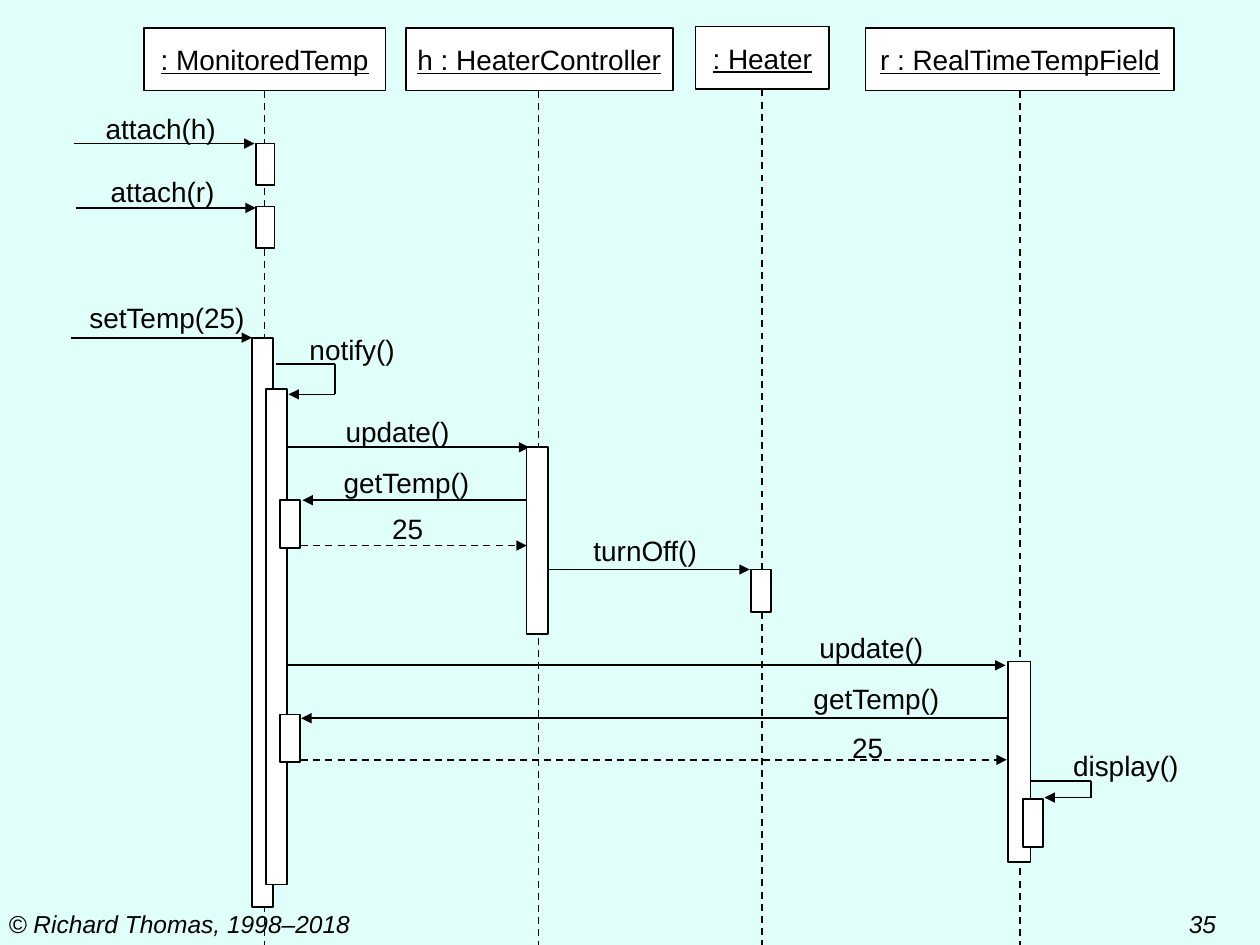
import pptx
import pptx.dml.color
import pptx.enum.dml
import pptx.enum.shapes
import pptx.enum.text
import pptx.oxml.ns
import pptx.util
import lxml.etree

WIDE = pptx.util.Inches(10)
HIGH = pptx.util.Inches(7.5)
COLS, ROWS = 100, 75
INK, PAPER, SKY = "000000", "FFFFFF", "E1FFFA"
ALIGN = pptx.enum.text.PP_ALIGN

HEADS = [
    (11.4, 2.2, 19.2, ": MonitoredTemp", 21),
    (32.2, 2.2, 21.2, "h : HeaterController", 42.75),
    (55.2, 2.1, 10.6, ": Heater", 60.45),
    (68.7, 2.2, 24.5, "r : RealTimeTempField", 80.95),
]
CALLS = [
    (5.9, 20.2, 11.4, "attach(h)", 12.75, 10.15),
    (6, 20.3, 16.5, "attach(r)", 12.9, 15.15),
    (5.6, 20, 26.8, "setTemp(25)", 13.25, 25.15),
    (22.8, 42, 35.5, "update()", 31.55, 34.25),
    (41.8, 24, 39.7, "getTemp()", 32.25, 38.25),
    (43.5, 59.5, 45.2, "turnOff()", 51.2, 43.65),
    (22.8, 79.8, 52.8, "update()", 69.15, 51.35),
    (79.9, 23.9, 57, "getTemp()", 69.55, 55.45),
]
REPLIES = [
    (23.9, 41.8, 43.3, "25", 32.35, 41.95),
    (23.9, 79.9, 60.3, "25", 68.85, 59.35),
]
LOOPS = [
    (21.9, 28.9, 26.6, 31.3, 22.9, "notify()", 27.95, 27.75),
    (81.8, 62, 86.6, 63.3, 82.9, "display()", 89.35, 60.75),
]
BARS = [
    (20.3, 11.4, 1.5, 3.3),
    (20.3, 16.4, 1.5, 3.3),
    (20, 26.8, 1.7, 45.2),
    (21.1, 30.9, 1.7, 39.3),
    (22.2, 39.7, 1.6, 3.8),
    (22.2, 56.7, 1.6, 3.8),
    (41.8, 35.5, 1.7, 14.8),
    (59.6, 45.2, 1.6, 3.4),
    (80, 52.5, 1.8, 15.9),
    (81.2, 63.4, 1.6, 3.8),
]


def col(n):
    return round(WIDE * n / COLS)


def row(n):
    return round(HIGH * n / ROWS)


def paint(part, shade):
    if hasattr(part, "solid"):
        part.solid()
        part = part.fore_color
    part.rgb = pptx.dml.color.RGBColor.from_string(shade)


def write(shape, text, size=16, align=ALIGN.CENTER, under=None, slant=None):
    frame = shape.text_frame
    frame.word_wrap = False
    frame.vertical_anchor = pptx.enum.text.MSO_ANCHOR.MIDDLE
    para = frame.paragraphs[0]
    para.text = text
    para.alignment = align
    font = para.runs[0].font
    font.name = "Arial"
    font.size = pptx.util.Pt(size)
    font.underline = under
    font.italic = slant
    paint(font.color, INK)


def box(slide, x, y, w, h):
    kind = pptx.enum.shapes.MSO_SHAPE.RECTANGLE
    shape = slide.shapes.add_shape(kind, col(x), row(y), col(w), row(h))
    shape.shadow.inherit = False
    paint(shape.fill, PAPER)
    paint(shape.line.fill, INK)
    shape.line.width = pptx.util.Pt(1)
    return shape


def note(slide, x, y, w, h, text, **form):
    shape = slide.shapes.add_textbox(col(x), row(y), col(w), row(h))
    write(shape, text, **form)
    return shape


def label(slide, mid, top, text):
    wide = 3 + len(text) * 1.1
    shape = note(slide, mid - wide / 2, top - 1.85, wide, 3.7, text)
    fit = pptx.enum.text.MSO_AUTO_SIZE.SHAPE_TO_FIT_TEXT
    shape.text_frame.auto_size = fit


def line(slide, x, y, to, end, dash=False, tip=False):
    kind = pptx.enum.shapes.MSO_CONNECTOR.STRAIGHT
    link = slide.shapes.add_connector(kind, col(x), row(y), col(to), row(end))
    paint(link.line.fill, INK)
    link.line.width = pptx.util.Pt(1)
    if dash:
        link.line.dash_style = pptx.enum.dml.MSO_LINE.DASH
    props = link.element.spPr
    name = pptx.oxml.ns.qn
    if tip:
        edge = props.find(name("a:ln"))
        lxml.etree.SubElement(edge, name("a:tailEnd"), type="triangle")
    lxml.etree.SubElement(props, name("a:effectLst"))


def head(slide, x, y, w, text, stem):
    write(box(slide, x, y, w, 5), text, under=True)
    line(slide, stem, y + 5, stem, ROWS, dash=True)


def call(slide, x, to, y, text, mid, high, dash=False):
    line(slide, x, y, to, y, dash=dash, tip=True)
    label(slide, mid, high, text)


def loop(slide, x, y, far, low, to, text, mid, high):
    line(slide, x, y, far, y)
    line(slide, far, y, far, low)
    line(slide, far, low, to, low, tip=True)
    label(slide, mid, high, text)


def main():
    deck = pptx.Presentation()
    deck.slide_width, deck.slide_height = WIDE, HIGH
    slide = deck.slides.add_slide(deck.slide_layouts[6])
    paint(slide.background.fill, SKY)
    for item in HEADS:
        head(slide, *item)
    for item in CALLS:
        call(slide, *item)
    for item in BARS:
        box(slide, *item)
    for item in REPLIES:
        call(slide, *item, dash=True)
    for item in LOOPS:
        loop(slide, *item)
    note(slide, 91.7, 71.7, 5.8, 3.3, "35",
         size=14, align=ALIGN.RIGHT, slant=True)
    note(slide, -0.3, 71.7, 30.8, 3.3, "© Richard Thomas, 1998–2018",
         size=14, align=ALIGN.LEFT, slant=True)
    deck.save("out.pptx")


if __name__ == "__main__":
    main()
